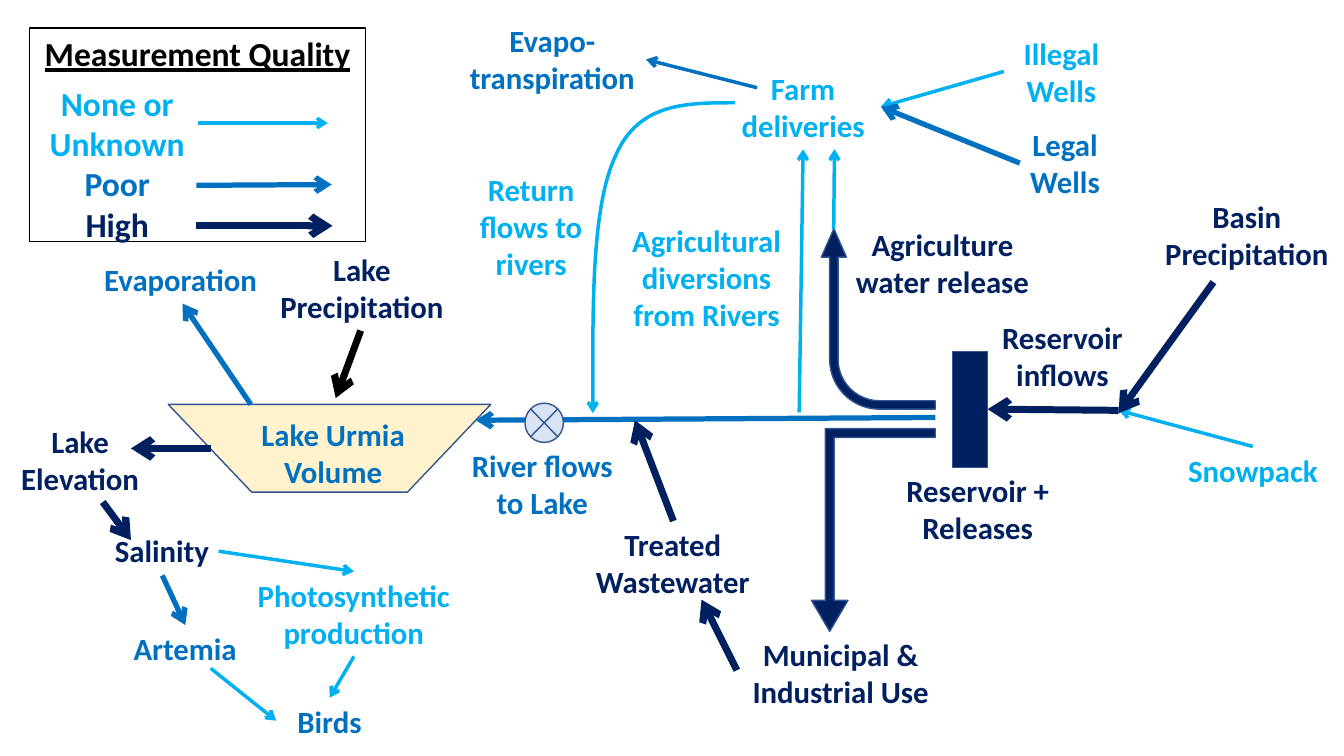
from pptx import Presentation
from pptx.dml.color import RGBColor
from pptx.enum.shapes import MSO_CONNECTOR, MSO_SHAPE
from pptx.enum.text import MSO_ANCHOR, PP_ALIGN
from pptx.oxml.ns import qn
from pptx.util import Cm, Pt
from lxml.etree import SubElement

NONE, POOR, HIGH, BLACK = "00B0F0", "0070C0", "002060", "000000"
EDGE = "325491"


def style(shape, color, width, head=False):
    """Set the outline, drop the shadow and add an arrowhead if asked."""
    shape.line.color.rgb = RGBColor.from_string(color)
    shape.line.width = Pt(width)
    props = shape._element.spPr
    if head:
        SubElement(props.find(qn("a:ln")), qn("a:tailEnd"), type="arrow")
    SubElement(props, qn("a:effectLst"))


def write(shape, lines, size, **extra):
    """Fill a shape with centred bold paragraphs of (text, colour)."""
    frame = shape.text_frame
    frame.word_wrap = True
    frame.vertical_anchor = MSO_ANCHOR.TOP
    for i, (text, color) in enumerate(lines):
        para = frame.add_paragraph() if i else frame.paragraphs[0]
        para.alignment = PP_ALIGN.CENTER
        run = para.add_run()
        run.text = text
        run.font.color.rgb = RGBColor.from_string(color)
        look = {"name": "Calibri", "size": Pt(size), "bold": True, **extra}
        for key, value in look.items():
            setattr(run.font, key, value)


deck = Presentation()
deck.slide_width, deck.slide_height = Cm(33.87), Cm(19.05)
shapes = deck.slides.add_slide(deck.slide_layouts[6]).shapes

# Lake, reservoir and block arrows: kind, box, turn, adjustments, fill
blocks = [
    (MSO_SHAPE.TRAPEZOID, (4.24, 10.19, 8.13, 2.21), 180, [0.951], "FFF2CC"),
    (MSO_SHAPE.RECTANGLE, (24, 8.86, 0.89, 2.92), 0, [], HIGH),
    (MSO_SHAPE.BENT_ARROW, (19.86, 6.6, 4.55, 2.87), 270,
     [0.074, 0.11, 0.25, 0.438], HIGH),
    (MSO_SHAPE.BENT_UP_ARROW, (20.45, 10.8, 3.12, 5.11), 180,
     [0.072, 0.147, 0.25], HIGH),
]
for kind, box, turn, adjust, fill in blocks:
    block = shapes.add_shape(kind, *map(Cm, box))
    block.rotation = turn
    for i, value in enumerate(adjust):
        block.adjustments[i] = value
    block.fill.solid()
    block.fill.fore_color.rgb = RGBColor.from_string(fill)
    style(block, EDGE, 1)

# Straight flows by measurement quality: colour, width, (from x, y, to x, y)
flows = [
    (NONE, 2.5, [
        (31.57, 11.25, 28.19, 10.34), (20.14, 10.39, 20.24, 3.76),
        (25.3, 1.8, 22.2, 2.69), (5, 3.1, 8.26, 3.1),
        (5.31, 16.84, 6.96, 18.16), (8.92, 16.54, 8.31, 17.58),
        (5.51, 13.89, 8.92, 14.4), (21.01, 5.77, 21.03, 3.76)]),
    (POOR, 2.5, [(19.08, 2.21, 16.28, 1.5)]),
    (POOR, 3.75, [
        (23.57, 10.52, 11.99, 10.59), (6.32, 10.19, 4.6, 7.65),
        (4.09, 14.5, 4.67, 15.75), (25.7, 4.11, 22.2, 2.69),
        (4.95, 4.67, 8.36, 4.65)]),
    (HIGH, 5, [
        (28.19, 10.34, 24.89, 10.31), (5.31, 11.3, 3.3, 11.3),
        (30.58, 7.11, 28.19, 10.41), (18.57, 16.89, 17.68, 15.11),
        (16.97, 13.13, 16, 10.59), (4.93, 5.69, 8.38, 5.69),
        (2.59, 12.65, 3.3, 13.61)]),
    (BLACK, 5, [(9.09, 8.33, 8.46, 10.03)]),
]
for color, width, routes in flows:
    for ends in routes:
        flow = shapes.add_connector(MSO_CONNECTOR.STRAIGHT, *map(Cm, ends))
        style(flow, color, width, head=True)

# Curved return flow: each three points after the start make one Bezier piece
curve = [(18.52, 2.59), (17.3, 2.59), (16.1, 2.59), (15.52, 3.91),
         (14.91, 5.21), (14.94, 7.8), (14.94, 10.41)]
points = [(Cm(x), Cm(y)) for x, y in curve]
pen = shapes.build_freeform(*points[0])
pen.add_line_segments(points[1:], close=False)
bend = pen.convert_to_shape()
bend.fill.background()
style(bend, NONE, 2.5, head=True)
legs = list(bend._element.iter(qn("a:lnTo")))
for i in range(0, len(legs), 3):
    piece = SubElement(legs[i].getparent(), qn("a:cubicBezTo"))
    for leg in legs[i:i + 3]:
        piece.append(leg[0])
        leg.getparent().remove(leg)

valve = shapes.add_shape(MSO_SHAPE.FLOWCHART_SUMMING_JUNCTION,
                         Cm(13.23), Cm(10.16), Cm(0.97), Cm(0.99))
valve.fill.solid()
valve.fill.fore_color.rgb = RGBColor.from_string("DAE3F3")
style(valve, EDGE, 1)

# Labels: text, colour, left, top, width, number of lines
labels = [
    ("River flows to Lake", POOR, 11.43, 11.13, 4.47, 2),
    ("Lake Precipitation", HIGH, 6.71, 6.2, 4.82, 2),
    ("Evaporation", POOR, 2.3, 6.45, 4.5, 1),
    ("Reservoir + Releases", HIGH, 22.43, 11.76, 4.42, 2),
    ("Lake Elevation", HIGH, 0.2, 10.52, 3.64, 2),
    ("Agriculture water release", HIGH, 21.03, 5.56, 5.44, 2),
    ("Reservoir inflows", HIGH, 24.92, 7.9, 3.71, 2),
    ("Lake Urmia Volume", POOR, 6.02, 10.36, 4.75, 2),
    ("Basin Precipitation", HIGH, 28.98, 4.85, 4.88, 2),
    ("Illegal Wells", NONE, 25.3, 0.74, 2.9, 2),
    ("Salinity", HIGH, 2.01, 13.28, 4.14, 1),
    ("Artemia", POOR, 2.95, 15.75, 3.43, 1),
    ("Birds", POOR, 6.96, 17.58, 2.69, 1),
    ("Snowpack", NONE, 29.49, 11.25, 4.17, 1),
    ("Evapo-transpiration", POOR, 11.55, 0.43, 4.74, 2),
    ("Farm deliveries", NONE, 18.31, 1.63, 3.86, 2),
    ("Agricultural diversions from Rivers", NONE, 15.62, 5.46, 4.37, 3),
    ("Municipal & Industrial Use", HIGH, 18.57, 15.9, 5.23, 2),
    ("Treated Wastewater", HIGH, 14.53, 13.13, 4.85, 2),
    ("Legal Wells", POOR, 25.69, 3.05, 2.3, 2),
    ("Return flows to rivers", NONE, 11.66, 4.19, 3.45, 3),
    ("Photosynthetic production", NONE, 6.17, 14.4, 5.49, 2),
]
for text, color, left, top, width, rows in labels:
    box = map(Cm, (left, top, width, 0.25 + 0.94 * rows))
    write(shapes.add_textbox(*box), [(text, color)], 22)

# Legend
frame = shapes.add_shape(MSO_SHAPE.RECTANGLE,
                         Cm(0.74), Cm(0.71), Cm(8.48), Cm(5.38))
frame.fill.background()
style(frame, BLACK, 1)
write(frame, [("Measurement Quality", BLACK)], 24, underline=True)
grades = shapes.add_textbox(Cm(0.43), Cm(1.96), Cm(5.05), Cm(4.5))
write(grades, [("None or Unknown", NONE), ("Poor", POOR), ("High", HIGH)], 24)

deck.save("out.pptx")
